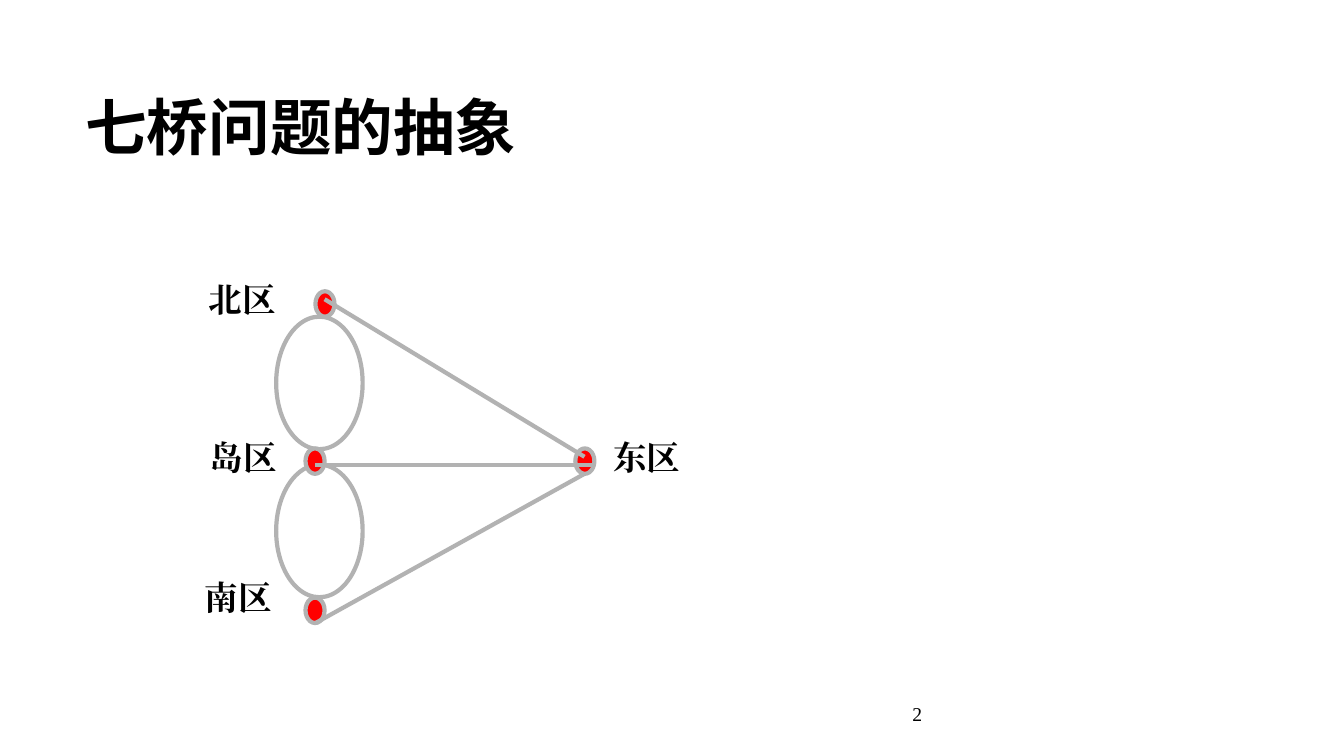
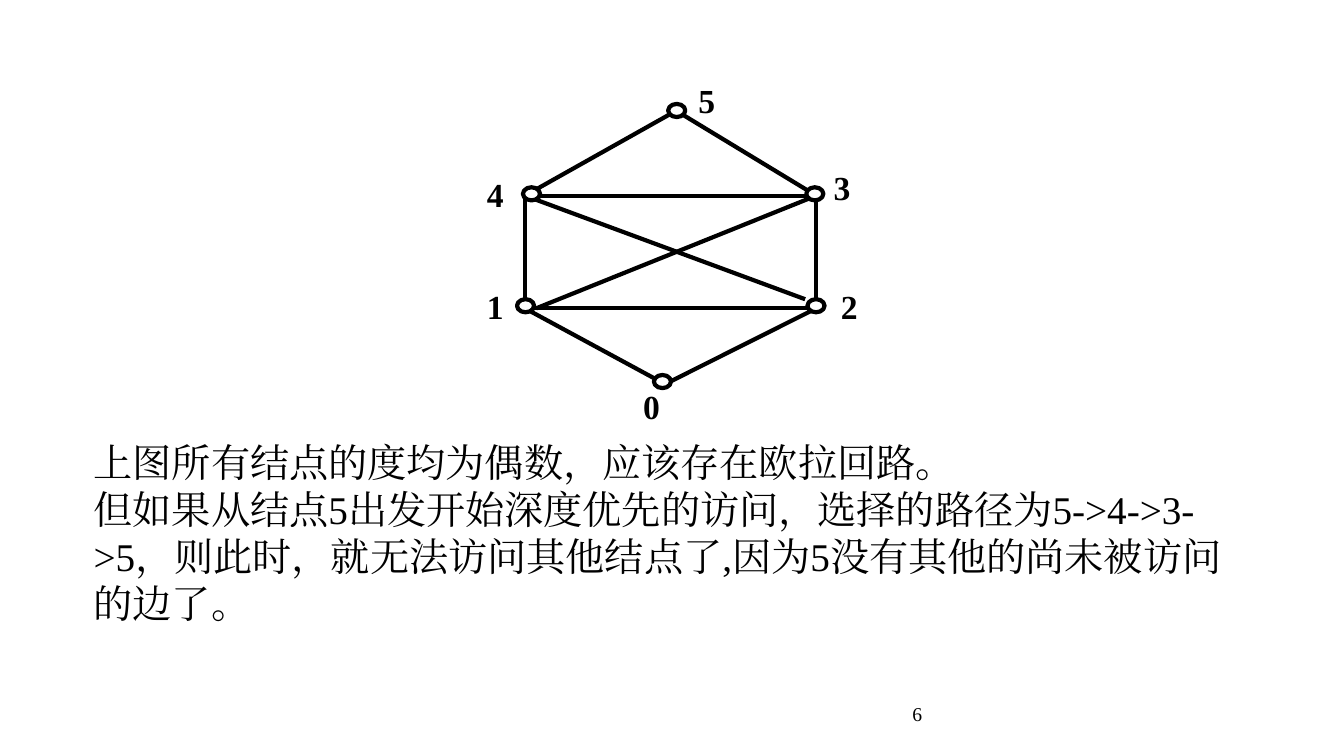
import pptx
import pptx.util
import pptx.dml.color
import pptx.enum.shapes
import pptx.enum.text
import pptx.oxml.ns
import lxml.etree

Cm = pptx.util.Cm
Pt = pptx.util.Pt
RGBColor = pptx.dml.color.RGBColor
MSO_SHAPE = pptx.enum.shapes.MSO_SHAPE
ALIGN = pptx.enum.text.PP_ALIGN
ANCHOR = pptx.enum.text.MSO_ANCHOR
qn = pptx.oxml.ns.qn

BLACK = RGBColor(0x00, 0x00, 0x00)
WHITE = RGBColor(0xFF, 0xFF, 0xFF)
GREY = RGBColor(0xB2, 0xB2, 0xB2)
RED = RGBColor(0xFF, 0x00, 0x00)
SERIF = "Times New Roman"
SANS = "Noto Sans CJK SC"
STROKE = Pt(3)

DISTRICT_SIZE = (0.48, 0.64)
DISTRICTS = [(7.95, 7.34), (14.5, 11.3), (7.7, 15.06), (7.7, 11.3)]
BRIDGE_LOOPS = [(6.96, 7.98), (6.96, 11.71)]
BRIDGES = [
    ((8.18, 7.54), (14.73, 11.51)),
    ((7.95, 11.71), (14.99, 11.71)),
    ((14.73, 11.94), (7.95, 15.7)),
]
DISTRICT_NAMES = [
    ("东区", (14.73, 10.9, 3.15, 1.32)),
    ("北区", (4.29, 6.93, 3.63, 1.32)),
    ("岛区", (4.55, 10.9, 3.15, 1.32)),
    ("南区", (4.55, 14.43, 2.92, 1.32)),
]

LEFT, RIGHT, UPPER, LOWER = 13.23, 20.57, 4.93, 7.77
APEX, BASE = (17.04, 2.79), (16.76, 9.68)
EDGES = [
    ((RIGHT, UPPER), (13.51, LOWER)),
    ((LEFT, UPPER), (20.29, 7.54)),
    ((LEFT, UPPER), APEX),
    (APEX, (RIGHT, UPPER)),
    ((LEFT, LOWER), BASE),
    ((RIGHT, LOWER), BASE),
]
NODE_SIZE = (0.43, 0.33)
NODES = [
    ("0", (16.48, 9.45), (15.98, 9.63)),
    ("1", (13.03, 7.54), (12.04, 7.11)),
    ("2", (20.35, 7.54), (20.96, 7.11)),
    ("3", (20.32, 4.72), (20.78, 4.11)),
    ("4", (13.18, 4.72), (12.04, 4.29)),
    ("5", (16.84, 2.62), (17.37, 1.91)),
]
EXPLANATION = [
    "上图所有结点的度均为偶数，应该存在欧拉回路。",
    "但如果从结点5出发开始深度优先的访问，选择的路径为5->4->3->5，"
    "则此时，就无法访问其他结点了,因为5没有其他的尚未被访问的边了。",
]


def add_text(slide, paragraphs, box, size, font=SERIF, bold=False, align=ALIGN.LEFT,
             anchor=ANCHOR.TOP, insets=(0.25, 0.13), line_spacing=None):
    """Add a wrapped text box holding one run per paragraph."""
    frame = slide.shapes.add_textbox(*map(Cm, box)).text_frame
    frame.word_wrap = True
    frame.vertical_anchor = anchor
    frame.margin_left = frame.margin_right = Cm(insets[0])
    frame.margin_top = frame.margin_bottom = Cm(insets[1])
    for index, words in enumerate(paragraphs):
        paragraph = frame.add_paragraph() if index else frame.paragraphs[0]
        paragraph.alignment = align
        paragraph.line_spacing = line_spacing
        run = paragraph.add_run()
        run.text = words
        run.font.name = font
        run.font.size = Pt(size)
        run.font.bold = bold
        run.font.color.rgb = BLACK
        east_asian = lxml.etree.SubElement(run.font._element, qn("a:ea"))
        east_asian.set("typeface", font)


def add_outline(slide, kind, corner, size, line, fill=None):
    """Add a stroked preset shape, hollow unless a fill is given."""
    outline = slide.shapes.add_shape(kind, *map(Cm, (*corner, *size)))
    outline.shadow.inherit = False
    outline.line.color.rgb = line
    outline.line.width = STROKE
    if fill is None:
        outline.fill.background()
    else:
        outline.fill.solid()
        outline.fill.fore_color.rgb = fill


def add_edge(slide, start, end, color):
    """Join two points with a straight line."""
    edge = slide.shapes.add_connector(
        pptx.enum.shapes.MSO_CONNECTOR.STRAIGHT, *map(Cm, (*start, *end)))
    edge.line.color.rgb = color
    edge.line.width = STROKE
    lxml.etree.SubElement(edge._element.spPr, qn("a:effectLst"))


def add_numbered_slide(deck, number):
    """Add a blank slide with its page number."""
    slide = deck.slides.add_slide(deck.slide_layouts[6])
    add_text(slide, [number], (18.21, 17.35, 5.28, 1.27), 14,
             align=ALIGN.RIGHT, anchor=ANCHOR.MIDDLE)
    return slide


def build_bridges(deck):
    """Show the seven bridges as a graph of four districts."""
    slide = add_numbered_slide(deck, "2")
    add_text(slide, ["七桥问题的抽象"], (1.9, 1.7, 21.59, 3.18), 44, font=SANS,
             bold=True, anchor=ANCHOR.MIDDLE, line_spacing=0.9)
    for corner in BRIDGE_LOOPS:
        add_outline(slide, MSO_SHAPE.OVAL, corner, (2.18, 3.34), GREY)
    for corner in DISTRICTS:
        add_outline(slide, MSO_SHAPE.OVAL, corner, DISTRICT_SIZE, GREY, RED)
    for start, end in BRIDGES:
        add_edge(slide, start, end, GREY)
    for name, box in DISTRICT_NAMES:
        add_text(slide, [name], box, 24, bold=True, align=ALIGN.CENTER,
                 insets=(0.18, 0.1))


def build_euler_graph(deck):
    """Show the even-degree graph and the dead end of a naive walk."""
    slide = add_numbered_slide(deck, "6")
    add_outline(slide, MSO_SHAPE.RECTANGLE, (LEFT, UPPER),
                (RIGHT - LEFT, LOWER - UPPER), BLACK)
    for start, end in EDGES:
        add_edge(slide, start, end, BLACK)
    for digit, corner, label_corner in NODES:
        add_text(slide, [digit], (*label_corner, 1.09, 1.32), 24, bold=True,
                 align=ALIGN.JUSTIFY, insets=(0.23, 0.1))
        add_outline(slide, MSO_SHAPE.OVAL, corner, NODE_SIZE, BLACK, WHITE)
    add_text(slide, EXPLANATION, (2.11, 10.92, 29.9, 3.84), 28)


def main():
    """Build and save the deck."""
    deck = pptx.Presentation()
    deck.slide_width, deck.slide_height = Cm(33.87), Cm(19.05)
    build_bridges(deck)
    build_euler_graph(deck)
    deck.save("out.pptx")


main()
